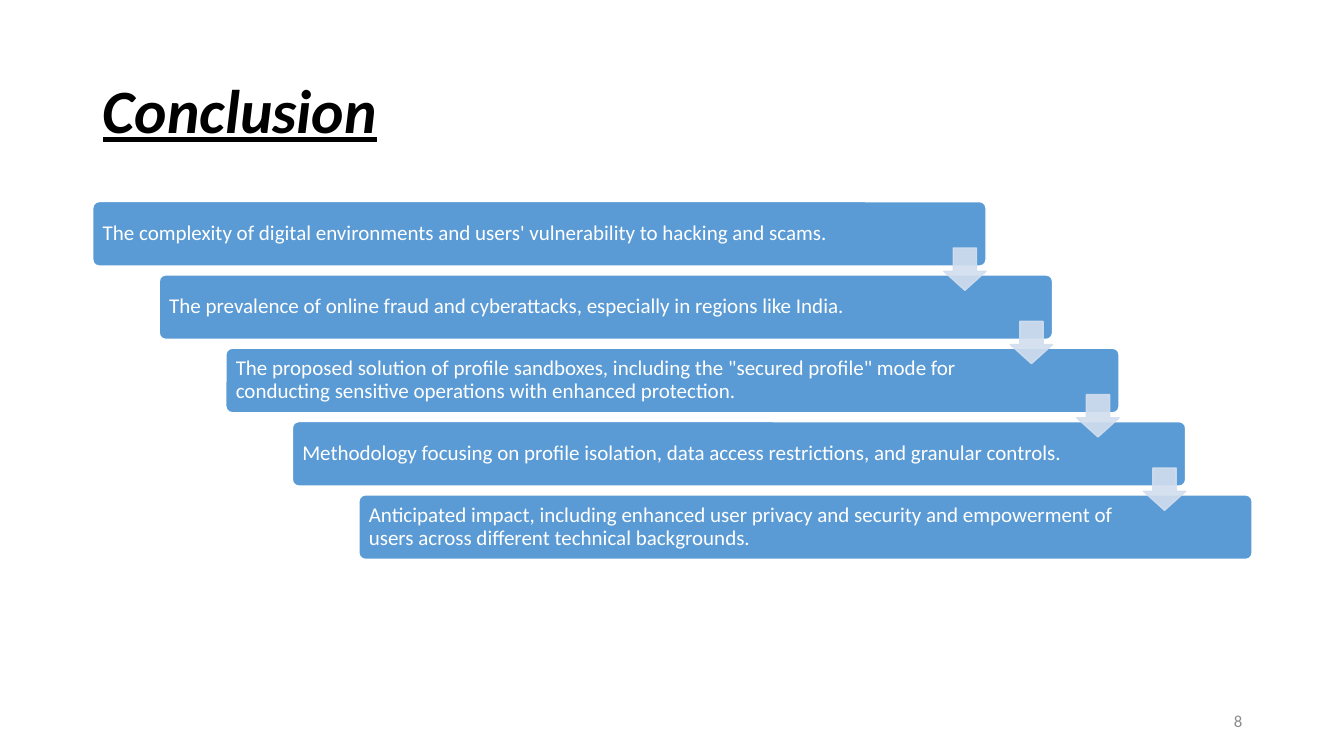
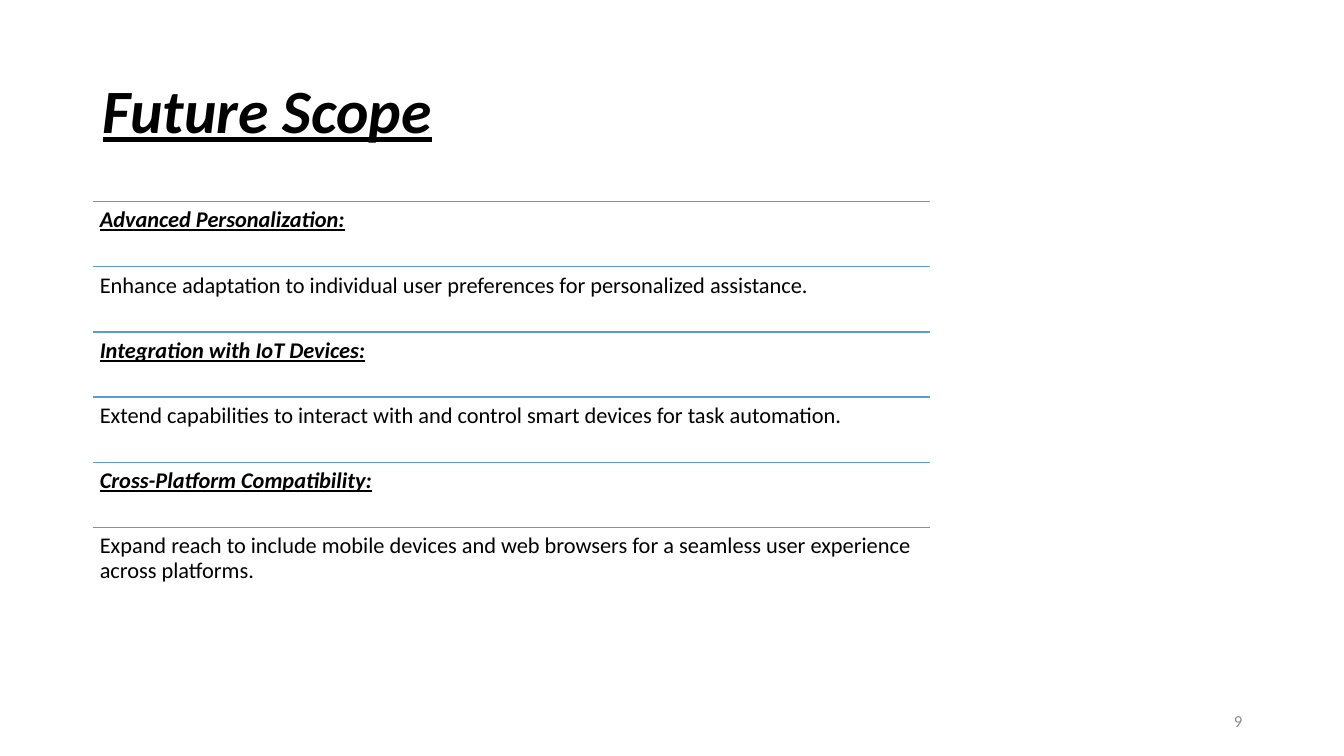
from dataclasses import dataclass

from lxml.etree import SubElement
from pptx import Presentation
from pptx.dml.color import RGBColor
from pptx.enum.shapes import MSO_CONNECTOR, MSO_SHAPE
from pptx.enum.text import MSO_ANCHOR, MSO_AUTO_SIZE, PP_ALIGN
from pptx.oxml.ns import qn
from pptx.presentation import Presentation as Deck
from pptx.shapes.base import BaseShape
from pptx.slide import Slide
from pptx.text.text import TextFrame
from pptx.util import Inches, Length, Pt


@dataclass(frozen=True)
class Theme:
    """Colours, font and type sizes of the deck."""
    font: str = "Calibri"
    ink: str = "000000"
    paper: str = "FFFFFF"
    accent: str = "5B9BD5"
    arrow: str = "D2DEEF"
    muted: str = "8C8C8C"
    title_size: float = 44
    step_size: float = 15
    row_size: float = 16
    number_size: float = 12
    line_width: float = 1
    line_spacing: float = 0.9
    arrow_opacity: int = 90


@dataclass(frozen=True)
class Area:
    """A rectangle in inches."""
    left: float
    top: float
    width: float
    height: float

    @property
    def right(self) -> float:
        """Give the right edge."""
        return self.left + self.width

    def lengths(self) -> tuple[Length, ...]:
        """Give left, top, width and height as slide lengths."""
        return tuple(Inches(side) for side in
                     (self.left, self.top, self.width, self.height))


@dataclass(frozen=True)
class Style:
    """The look of one paragraph."""
    size: float
    color: str
    emphasis: bool = False
    align: PP_ALIGN = PP_ALIGN.LEFT
    anchor: MSO_ANCHOR = MSO_ANCHOR.MIDDLE
    spacing: float = 1.0


@dataclass(frozen=True)
class Topic:
    """A heading and the sentence below it."""
    heading: str
    detail: str


THEME = Theme()
PAGE_WIDTH, PAGE_HEIGHT = 13.33, 7.5
MARGIN = 0.92
CONTENT_WIDTH = 11.5
TITLE = Area(MARGIN, 0.4, CONTENT_WIDTH, 1.45)
NUMBER = Area(9.42, 6.95, 3, 0.4)
STAIRS = Area(MARGIN, 2, CONTENT_WIDTH, 3.55)
ROWS = Area(MARGIN, 2, 8.3, 3.88)
BAR_WIDTH, BAR_HEIGHT = 8.86, 0.64
ARROW_SIDE, ARROW_DROP = 0.42, 0.46
BAR_INSETS = (0.08, 0.06, 1.16, 0.06)
ROW_INSETS = (0.07,) * 4
BOX_INSETS = (0.1, 0.05, 0.1, 0.05)

TITLE_STYLE = Style(THEME.title_size, THEME.ink, emphasis=True,
                    spacing=THEME.line_spacing)
STEP_STYLE = Style(THEME.step_size, THEME.paper, spacing=THEME.line_spacing)
HEADING_STYLE = Style(THEME.row_size, THEME.ink, emphasis=True,
                      anchor=MSO_ANCHOR.TOP, spacing=THEME.line_spacing)
DETAIL_STYLE = Style(THEME.row_size, THEME.ink, anchor=MSO_ANCHOR.TOP,
                     spacing=THEME.line_spacing)
NUMBER_STYLE = Style(THEME.number_size, THEME.muted, align=PP_ALIGN.RIGHT)

STEPS = (
    "The complexity of digital environments and users' vulnerability to "
    "hacking and scams.",
    "The prevalence of online fraud and cyberattacks, especially in regions "
    "like India.",
    'The proposed solution of profile sandboxes, including the "secured '
    'profile" mode for conducting sensitive operations with enhanced '
    "protection.",
    "Methodology focusing on profile isolation, data access restrictions, "
    "and granular controls.",
    "Anticipated impact, including enhanced user privacy and security and "
    "empowerment of users across different technical backgrounds.",
)
TOPICS = (
    Topic("Advanced Personalization:",
          "Enhance adaptation to individual user preferences for "
          "personalized assistance."),
    Topic("Integration with IoT Devices:",
          "Extend capabilities to interact with and control smart devices "
          "for task automation."),
    Topic("Cross-Platform Compatibility:",
          "Expand reach to include mobile devices and web browsers for a "
          "seamless user experience across platforms."),
)


def write(frame: TextFrame, text: str, style: Style,
          insets: tuple[float, ...] = BOX_INSETS) -> None:
    """Fill a text frame with one styled paragraph."""
    frame.word_wrap = True
    frame.auto_size = MSO_AUTO_SIZE.NONE
    frame.vertical_anchor = style.anchor
    (frame.margin_left, frame.margin_top,
     frame.margin_right, frame.margin_bottom) = map(Inches, insets)
    para = frame.paragraphs[0]
    para.text = text
    para.alignment = style.align
    para.line_spacing = style.spacing
    font = para.font
    font.name = THEME.font
    font.size = Pt(style.size)
    font.color.rgb = RGBColor.from_string(style.color)
    font.bold = font.italic = font.underline = style.emphasis


def add_text(page: Slide, area: Area, text: str, style: Style,
             insets: tuple[float, ...] = BOX_INSETS) -> None:
    """Add a text box."""
    box = page.shapes.add_textbox(*area.lengths())
    write(box.text_frame, text, style, insets)


def add_filled(page: Slide, kind: MSO_SHAPE, area: Area, fill: str,
               line: str, adjustments: tuple[float, ...]) -> BaseShape:
    """Add a flat preset shape."""
    shape = page.shapes.add_shape(kind, *area.lengths())
    shape.shadow.inherit = False
    shape.fill.solid()
    shape.fill.fore_color.rgb = RGBColor.from_string(fill)
    shape.line.color.rgb = RGBColor.from_string(line)
    shape.line.width = Pt(THEME.line_width)
    for index, value in enumerate(adjustments):
        shape.adjustments[index] = value
    return shape


def add_arrow(page: Slide, area: Area) -> None:
    """Add a translucent down arrow."""
    arrow = add_filled(page, MSO_SHAPE.DOWN_ARROW, area, THEME.arrow,
                       THEME.arrow, (0.45, 0.55))
    arrow.adjustments[0], arrow.adjustments[1] = 0.55, 0.45
    for color in arrow.element.spPr.iter(qn("a:srgbClr")):
        SubElement(color, qn("a:alpha"), val=str(THEME.arrow_opacity * 1000))


def add_rule(page: Slide, left: float, right: float, top: float) -> None:
    """Add a horizontal line."""
    rule = page.shapes.add_connector(
        MSO_CONNECTOR.STRAIGHT, Inches(left), Inches(top),
        Inches(right), Inches(top))
    rule.line.color.rgb = RGBColor.from_string(THEME.accent)
    rule.line.width = Pt(THEME.line_width)
    SubElement(rule.element.spPr, qn("a:effectLst"))


def add_page(deck: Deck, title: str, number: int) -> Slide:
    """Add a slide with its title and page number."""
    page = deck.slides.add_slide(deck.slide_layouts.get_by_name("Title Only"))
    heading = page.shapes.title
    heading.left, heading.top, heading.width, heading.height = TITLE.lengths()
    write(heading.text_frame, title, TITLE_STYLE)
    add_text(page, NUMBER, str(number), NUMBER_STYLE)
    return page


def add_stairs(page: Slide, steps: tuple[str, ...]) -> None:
    """Draw bars as a descending staircase linked by arrows."""
    gaps = len(steps) - 1
    shift = (STAIRS.width - BAR_WIDTH) / gaps
    drop = (STAIRS.height - BAR_HEIGHT) / gaps
    bars = [Area(STAIRS.left + index * shift, STAIRS.top + index * drop,
                 BAR_WIDTH, BAR_HEIGHT) for index in range(len(steps))]
    for area, text in zip(bars, steps):
        bar = add_filled(page, MSO_SHAPE.ROUNDED_RECTANGLE, area,
                         THEME.accent, THEME.paper, (0.1,))
        write(bar.text_frame, text, STEP_STYLE, BAR_INSETS)
    for area in bars[:-1]:
        add_arrow(page, Area(area.right - ARROW_SIDE, area.top + ARROW_DROP,
                             ARROW_SIDE, ARROW_SIDE))


def add_topics(page: Slide, topics: tuple[Topic, ...]) -> None:
    """Draw headings and details in equal ruled rows."""
    lines = [line for topic in topics
             for line in ((topic.heading, HEADING_STYLE),
                          (topic.detail, DETAIL_STYLE))]
    height = ROWS.height / len(lines)
    for index, (text, style) in enumerate(lines):
        row = Area(ROWS.left, ROWS.top + index * height, ROWS.width, height)
        add_rule(page, row.left, row.right, row.top)
        add_text(page, row, text, style, ROW_INSETS)


def main() -> None:
    """Build and save the deck."""
    deck = Presentation()
    deck.slide_width = Inches(PAGE_WIDTH)
    deck.slide_height = Inches(PAGE_HEIGHT)
    add_stairs(add_page(deck, "Conclusion", 8), STEPS)
    add_topics(add_page(deck, "Future Scope", 9), TOPICS)
    deck.save("out.pptx")


if __name__ == "__main__":
    main()
